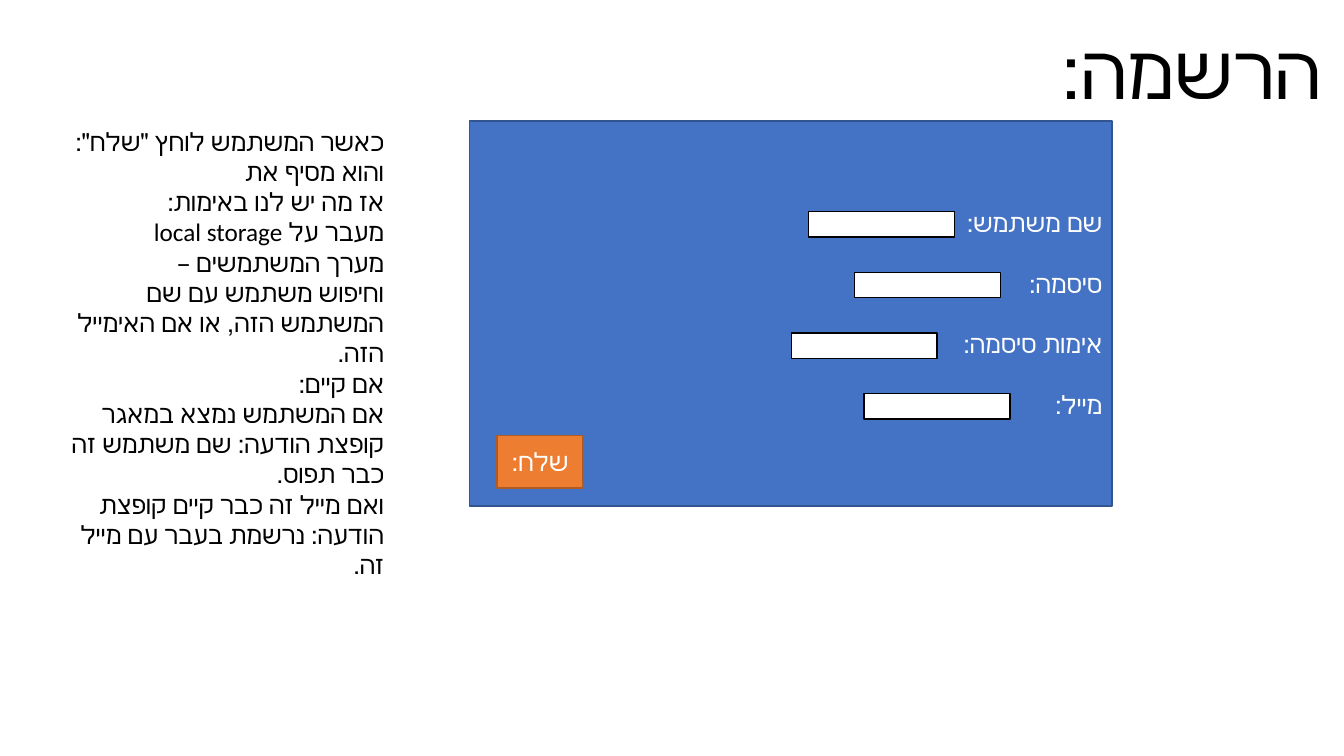
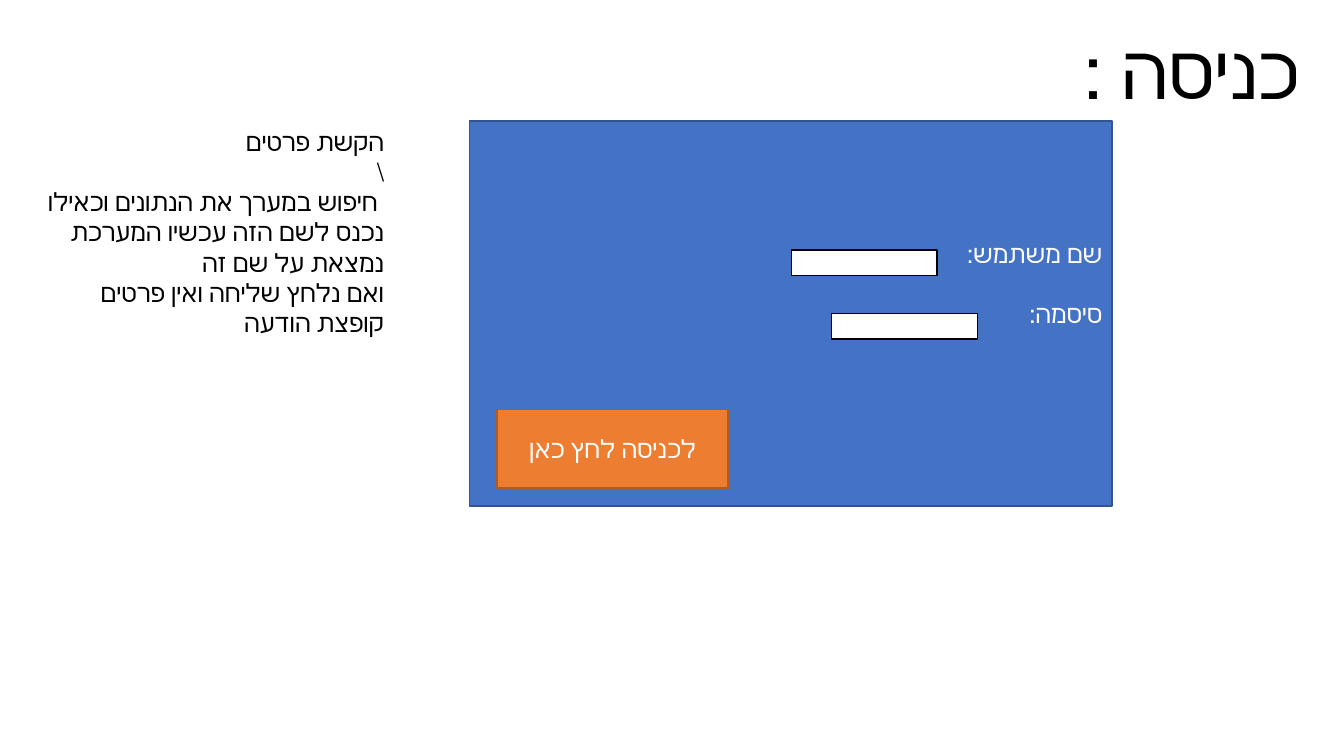
from pptx import Presentation
from pptx.dml.color import RGBColor
from pptx.enum.lang import MSO_LANGUAGE_ID
from pptx.enum.shapes import MSO_SHAPE
from pptx.enum.text import MSO_ANCHOR, MSO_AUTO_SIZE, PP_ALIGN
from pptx.util import Cm, Pt

FONT = "Calibri"
BLACK = RGBColor(0x00, 0x00, 0x00)
WHITE = RGBColor(0xFF, 0xFF, 0xFF)
BLUE = RGBColor(0x44, 0x72, 0xC4)
NAVY = RGBColor(0x32, 0x54, 0x91)
ORANGE = RGBColor(0xED, 0x7D, 0x31)
RUST = RGBColor(0xAF, 0x5C, 0x24)

TOP = 3.05
PANEL = (11.84, TOP, 16.19, 9.7)
FIELD = (3.68, 0.64)
BUTTON_LEFT, BUTTON_BASE = 12.53, 12.3


def write(frame, lines, color, size=18, align=PP_ALIGN.RIGHT, gap=0):
    """Fill a frame with right-to-left paragraphs, gap points apart."""
    for i, line in enumerate(lines):
        para = frame.add_paragraph() if i else frame.paragraphs[0]
        para.alignment = align
        para.line_spacing = 1.0
        para.space_before = Pt(gap if i else 0)
        para._p.get_or_add_pPr().set("rtl", "1")
        run = para.add_run()
        run.text = line
        font = run.font
        font.name, font.size = FONT, Pt(size)
        font.color.rgb = color
        font.language_id = MSO_LANGUAGE_ID.HEBREW


def add_box(slide, place, fill, line):
    box = slide.shapes.add_shape(MSO_SHAPE.RECTANGLE, *map(Cm, place))
    box.shadow.inherit = False
    box.fill.solid()
    box.fill.fore_color.rgb = fill
    box.line.color.rgb = line
    box.line.width = Pt(1)
    frame = box.text_frame
    frame.word_wrap = True
    frame.vertical_anchor = MSO_ANCHOR.MIDDLE
    return frame


def set_title(slide, text):
    title = slide.shapes.title
    title.left, title.top = Cm(26.34), Cm(0.48)
    title.width, title.height = Cm(7.37), Cm(2.57)
    frame = title.text_frame
    frame.word_wrap = False
    frame.auto_size = MSO_AUTO_SIZE.NONE
    frame.vertical_anchor = MSO_ANCHOR.TOP
    write(frame, [text], BLACK, 54, PP_ALIGN.CENTER)


def add_panel(slide, labels, base=0.13):
    """Draw the form; base is the inset below its labels."""
    frame = add_box(slide, PANEL, BLUE, NAVY)
    frame.margin_bottom = Cm(base)
    write(frame, labels, WHITE, gap=21.6)


def add_fields(slide, lefts, top, step):
    for i, left in enumerate(lefts):
        add_box(slide, (left, top + i * step, *FIELD), WHITE, BLACK)


def add_button(slide, text, width, height):
    place = (BUTTON_LEFT, BUTTON_BASE - height, width, height)
    write(add_box(slide, place, ORANGE, RUST), [text], WHITE,
          align=PP_ALIGN.CENTER)


def add_notes(slide, lines, height):
    place = (0.89, TOP, 9.04, height)
    frame = slide.shapes.add_textbox(*map(Cm, place)).text_frame
    frame.word_wrap = True
    write(frame, lines, BLACK)


def add_slide(deck, title):
    slide = deck.slides.add_slide(deck.slide_layouts[5])
    set_title(slide, title)
    return slide


def build_signup(deck):
    slide = add_slide(deck, "הרשמה:")
    add_panel(slide, ["שם משתמש:", "סיסמה:", "אימות סיסמה:", "מייל:"])
    add_fields(slide, [20.37, 21.54, 19.94, 21.77], 5.33, 1.53)
    add_button(slide, "שלח:", 2.16, 1.32)
    add_notes(slide, [
        "כאשר המשתמש לוחץ \"שלח\":",
        "והוא מסיף את",
        "אז מה יש לנו באימות:",
        "מעבר על local storage",
        "מערך המשתמשים –",
        "וחיפוש משתמש עם שם המשתמש הזה, או אם האימייל הזה.",
        "אם קיים:",
        "אם המשתמש נמצא במאגר",
        "קופצת הודעה: שם משתמש זה כבר תפוס.",
        "ואם מייל זה כבר קיים קופצת הודעה: נרשמת בעבר עם מייל זה.",
    ], 12.57)


def build_login(deck):
    slide = add_slide(deck, "כניסה :")
    add_panel(slide, ["שם משתמש:", "סיסמה:"], base=1.65)
    add_fields(slide, [19.94, 20.96], 6.3, 1.6)
    add_button(slide, "לכניסה לחץ כאן", 5.82, 1.98)
    add_notes(slide, [
        "הקשת פרטים",
        "\\",
        " חיפוש במערך את הנתונים וכאילו נכנס לשם הזה עכשיו המערכת נמצאת על שם זה",
        "ואם נלחץ שליחה ואין פרטים קופצת הודעה",
    ], 8.71)


def main():
    deck = Presentation()
    deck.slide_width, deck.slide_height = Cm(33.87), Cm(19.05)
    build_signup(deck)
    build_login(deck)
    deck.save("out.pptx")


if __name__ == "__main__":
    main()
